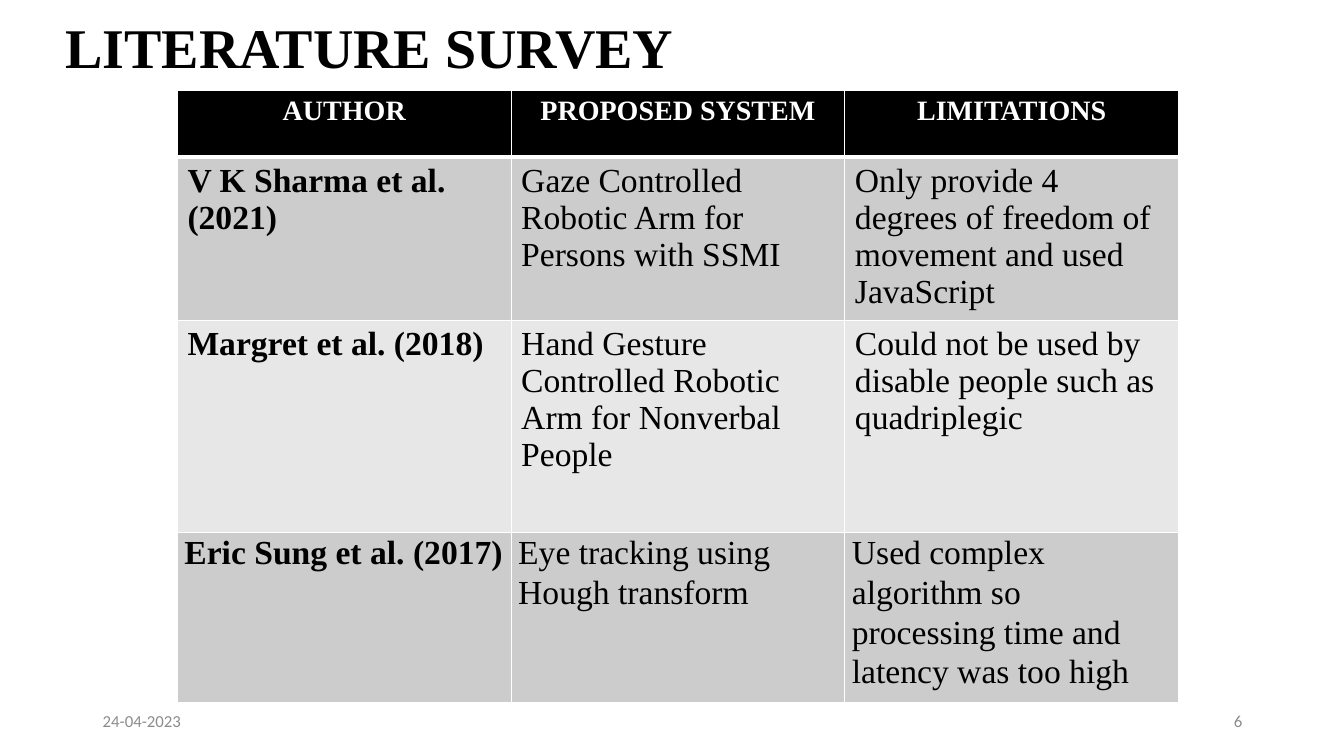
from dataclasses import dataclass

from lxml import etree
from pptx import Presentation
from pptx.dml.color import RGBColor
from pptx.enum.text import MSO_ANCHOR, MSO_AUTO_SIZE, PP_ALIGN
from pptx.oxml.ns import qn
from pptx.util import Inches, Pt

LEFT, CENTER, RIGHT = PP_ALIGN.LEFT, PP_ALIGN.CENTER, PP_ALIGN.RIGHT
TOP, MIDDLE = MSO_ANCHOR.TOP, MSO_ANCHOR.MIDDLE
NO_AUTOFIT = MSO_AUTO_SIZE.NONE
TITLE_ONLY = 5

HEADINGS = ["AUTHOR", "PROPOSED SYSTEM", "LIMITATIONS"]
STUDIES = [
    ["V K Sharma et al. (2021)",
     "Gaze Controlled Robotic Arm for Persons with SSMI",
     "Only provide 4 degrees of freedom of movement and used JavaScript"],
    ["Margret et al. (2018)",
     "Hand Gesture Controlled Robotic Arm for Nonverbal People",
     "Could not be used by disable people such as quadriplegic"],
    ["Eric Sung et al. (2017)",
     "Eye tracking using Hough transform",
     "Used complex algorithm so processing time and latency was too high"],
]
ROW_HEIGHTS = [0.66, 1.62, 2.1, 1.69]
COLUMN_WIDTH = 3.31


@dataclass(frozen=True)
class Theme:
    serif: str = "Times New Roman"
    sans: str = "Calibri"
    black: str = "000000"
    white: str = "FFFFFF"
    grey: str = "8C8C8C"
    bands: tuple = ("CCCCCC", "E7E7E7")
    title_size: int = 40
    heading_size: int = 20
    body_size: int = 24
    footer_size: int = 12


class SurveySlide:
    def __init__(self, deck, theme):
        self.theme = theme
        self.slide = deck.slides.add_slide(deck.slide_layouts[TITLE_ONLY])

    def set_text(self, frame, text, size, color, font, bold=False, align=LEFT):
        frame.word_wrap = True
        paragraph = frame.paragraphs[0]
        paragraph.text = text
        paragraph.alignment = align
        paragraph.font.name = font
        paragraph.font.size = Pt(size)
        paragraph.font.bold = bold
        paragraph.font.color.rgb = RGBColor.from_string(color)
        return paragraph

    def title(self, text, left, top, width, height):
        heading = self.slide.shapes.title
        heading.left, heading.top = Inches(left), Inches(top)
        heading.width, heading.height = Inches(width), Inches(height)
        frame = heading.text_frame
        frame.auto_size = NO_AUTOFIT
        frame.vertical_anchor = TOP
        paragraph = self.set_text(frame, text, self.theme.title_size,
                                  self.theme.black, self.theme.serif, bold=True)
        paragraph.line_spacing = 0.9

    def footer(self, text, left, align):
        box = self.slide.shapes.add_textbox(
            Inches(left), Inches(6.95), Inches(3), Inches(0.4))
        box.text_frame.vertical_anchor = MIDDLE
        self.set_text(box.text_frame, text, self.theme.footer_size,
                      self.theme.grey, self.theme.sans, align=align)

    def borders(self, cell, top=1, bottom=1):
        """Draw white rules on all four sides, with widths in points."""
        properties = cell._tc.get_or_add_tcPr()
        for side, width in (("L", 1), ("R", 1), ("T", top), ("B", bottom)):
            rule = etree.SubElement(properties, qn(f"a:ln{side}"), w=str(Pt(width)))
            fill = etree.SubElement(rule, qn("a:solidFill"))
            etree.SubElement(fill, qn("a:srgbClr"), val=self.theme.white)

    def fill(self, cell, color):
        cell.fill.solid()
        cell.fill.fore_color.rgb = RGBColor.from_string(color)

    def table(self, headings, studies, left, top):
        theme = self.theme
        table = self.slide.shapes.add_table(
            len(ROW_HEIGHTS), len(headings), Inches(left), Inches(top),
            Inches(COLUMN_WIDTH * len(headings)), Inches(sum(ROW_HEIGHTS))).table
        table.first_row = table.horz_banding = False
        for column in table.columns:
            column.width = Inches(COLUMN_WIDTH)
        for row, height in zip(table.rows, ROW_HEIGHTS):
            row.height = Inches(height)

        for c, heading in enumerate(headings):
            cell = table.cell(0, c)
            self.borders(cell, bottom=3)
            self.fill(cell, theme.black)
            self.set_text(cell.text_frame, heading, theme.heading_size,
                          theme.white, theme.serif, bold=True, align=CENTER)

        for r, study in enumerate(studies, start=1):
            for c, text in enumerate(study):
                cell = table.cell(r, c)
                self.borders(cell, top=3 if r == 1 else 1)
                self.fill(cell, theme.bands[(r - 1) % 2])
                paragraph = self.set_text(cell.text_frame, text, theme.body_size,
                                          theme.black, theme.serif, bold=c == 0)
                if r == len(studies):
                    cell.margin_left = cell.margin_right = Inches(0.07)
                    cell.margin_top = cell.margin_bottom = 0
                    paragraph.line_spacing = 1.07
                    paragraph.space_after = Pt(8)


def main():
    deck = Presentation()
    deck.slide_width, deck.slide_height = Inches(13.33), Inches(7.5)
    survey = SurveySlide(deck, Theme())
    survey.title("LITERATURE SURVEY", 0.55, 0.15, 11.5, 1.45)
    survey.table(HEADINGS, STUDIES, 1.76, 0.9)
    survey.footer("24-04-2023", 0.92, LEFT)
    survey.footer("6", 9.42, RIGHT)
    deck.save("out.pptx")


if __name__ == "__main__":
    main()
